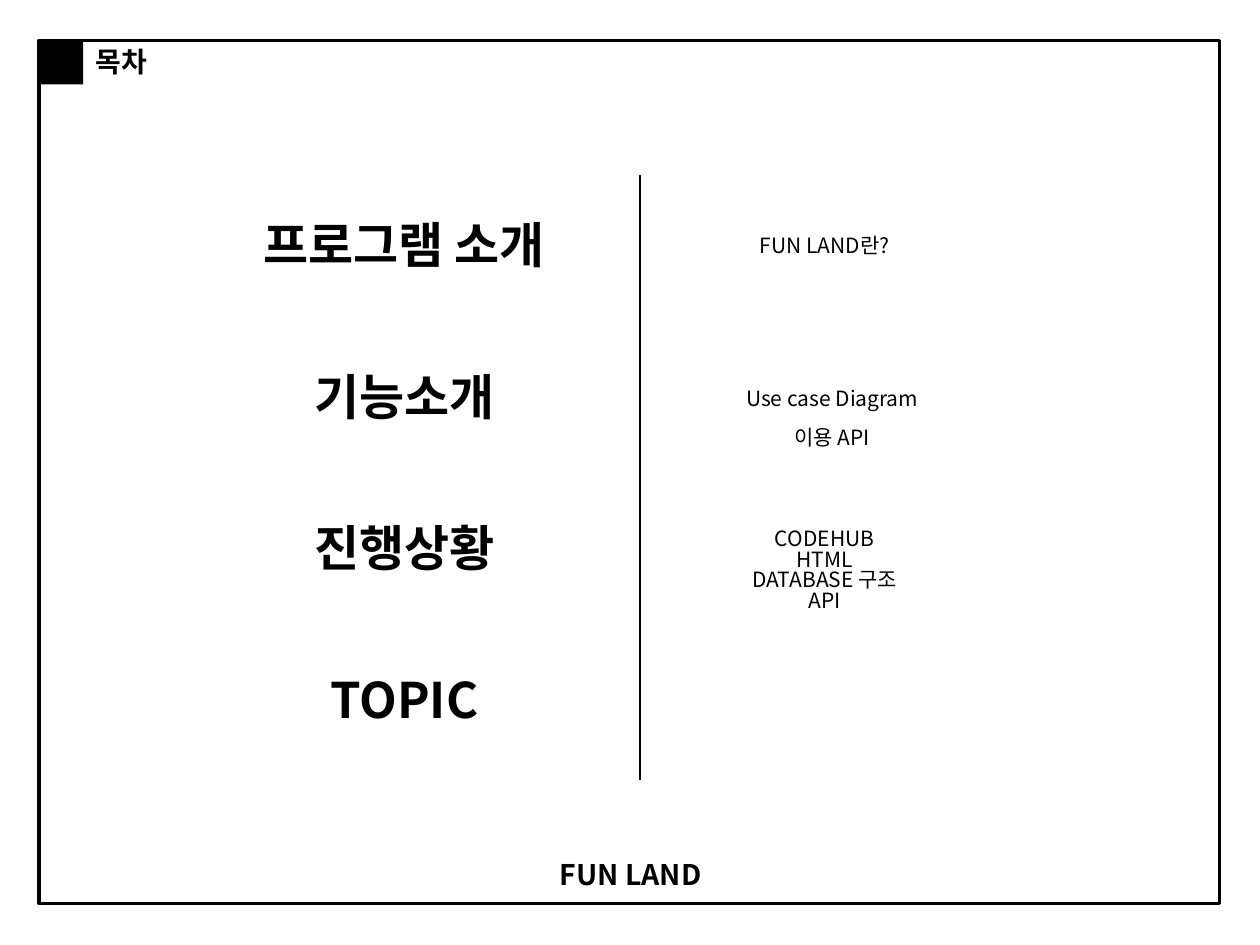
import pptx
import pptx.util
import pptx.dml.color
import pptx.enum.shapes
import pptx.enum.text
import pptx.oxml.ns
from lxml import etree

COLUMNS, ROWS = 100, 75
COLORS = {"ink": "000000", "paper": "FFFFFF"}
PROJECT = "FUN LAND"


class AgendaSlide:
    """Draws on a grid of 100 columns by 75 rows."""

    font = "Noto Sans CJK KR"

    def __init__(self, deck):
        self.slide = deck.slides.add_slide(deck.slide_layouts[6])
        self.column = deck.slide_width / COLUMNS
        self.row = deck.slide_height / ROWS
        background = self.slide.background.fill
        background.solid()
        background.fore_color.rgb = self.color("paper")

    def color(self, name):
        return pptx.dml.color.RGBColor.from_string(COLORS[name])

    def place(self, left, top, width, height):
        return (round(left * self.column), round(top * self.row),
                round(width * self.column), round(height * self.row))

    def box(self, area, fill=None, line_width=None):
        shape = self.slide.shapes.add_shape(
            pptx.enum.shapes.MSO_SHAPE.RECTANGLE, *self.place(*area))
        shape.shadow.inherit = False
        if fill:
            shape.fill.solid()
            shape.fill.fore_color.rgb = self.color(fill)
        else:
            shape.fill.background()
        if line_width:
            shape.line.color.rgb = self.color("ink")
            shape.line.width = pptx.util.Pt(line_width)
        else:
            shape.line.fill.background()

    def text(self, area, words, size, bold=False, spacing=0.9):
        frame = self.slide.shapes.add_textbox(*self.place(*area)).text_frame
        frame.word_wrap = True
        frame.vertical_anchor = pptx.enum.text.MSO_ANCHOR.MIDDLE
        frame.text = words
        for paragraph in frame.paragraphs:
            paragraph.alignment = pptx.enum.text.PP_ALIGN.CENTER
            paragraph.line_spacing = spacing
            for run in paragraph.runs:
                run.font.size = pptx.util.Pt(size)
                run.font.bold = bold
                run.font.color.rgb = self.color("ink")
                run.font.name = self.font
                # Hangul takes its typeface from the East Asian slot
                etree.SubElement(run.font._element, pptx.oxml.ns.qn("a:ea"),
                                 typeface=self.font)

    def divider(self, column, top, bottom, width):
        x, start, _, end = self.place(column, top, 0, bottom)
        line = self.slide.shapes.add_connector(
            pptx.enum.shapes.MSO_CONNECTOR.STRAIGHT, x, start, x, end)
        line.line.color.rgb = self.color("ink")
        line.line.width = pptx.util.Pt(width)
        etree.SubElement(line._element.spPr, pptx.oxml.ns.qn("a:effectLst"))


def main():
    deck = pptx.Presentation()
    deck.slide_width = pptx.util.Inches(10)
    deck.slide_height = pptx.util.Inches(7.5)
    agenda = AgendaSlide(deck)

    agenda.box((3.1, 3.2, 93.7, 68.5), line_width=2)
    agenda.box((3.1, 3.2, 3.5, 3.5), fill="ink")
    agenda.text((1.4, 3.2, 16.5, 3.7), "목차", 16, bold=True)
    agenda.text((41, 68, 18.1, 3.1), PROJECT, 16.2, bold=True)
    agenda.divider(50.8, 13.9, 61.9, 0.75)

    first_row, row_step, height = 16.5, 12.03, 6.3
    topics = ["프로그램 소개", "기능소개", "진행상황", "TOPIC"]
    for index, topic in enumerate(topics):
        agenda.text((17.8, first_row + index * row_step, 28.6, height),
                    topic, 28, bold=True)

    details = [
        (54.7, 16.5, f"{PROJECT}란?"),
        (55.3, 28.6, "Use case Diagram"),
        (55.3, 31.7, "이용 API"),
        (54.7, 42.2, "CODEHUB\nHTML\nDATABASE 구조\nAPI"),
    ]
    for left, top, words in details:
        agenda.text((left, top, 21.5, height), words, 12, spacing=0.82)

    deck.save("out.pptx")


if __name__ == "__main__":
    main()
